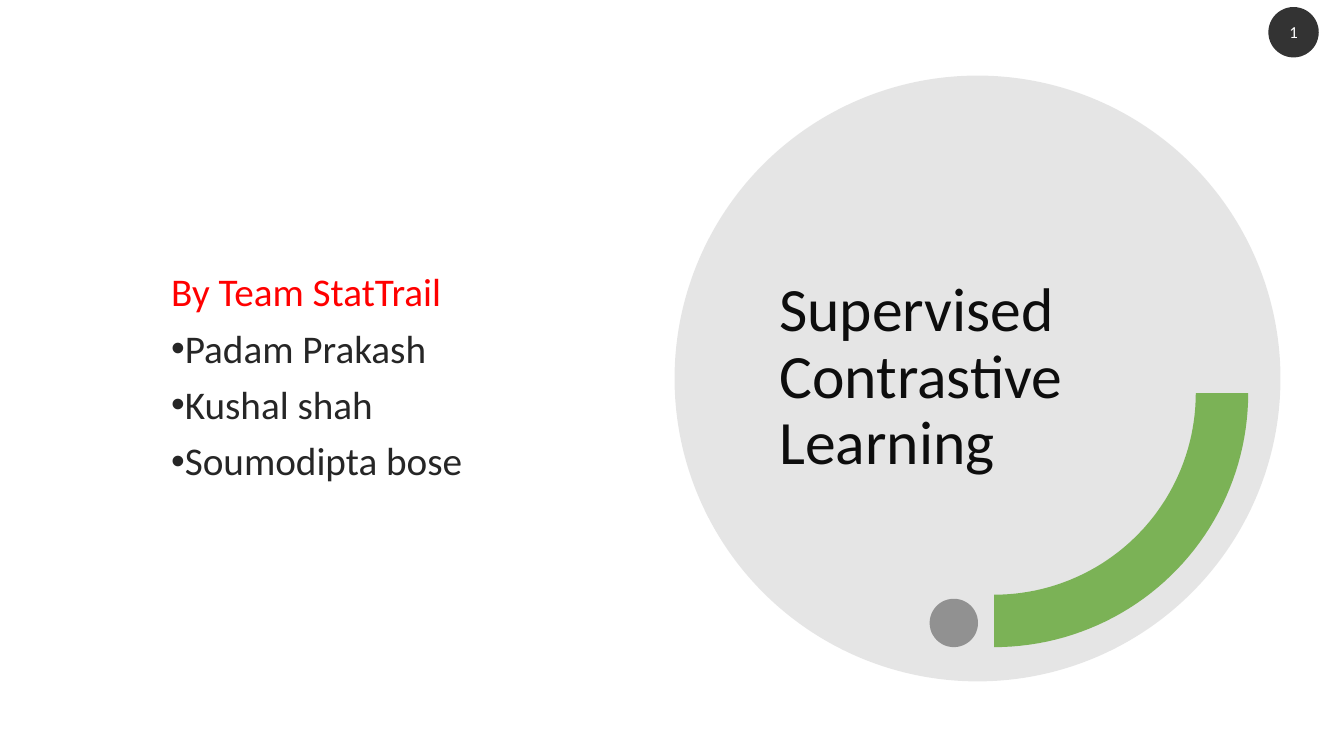
import math
from dataclasses import dataclass

from lxml import etree
from pptx import Presentation
from pptx.dml.color import RGBColor
from pptx.enum.shapes import MSO_SHAPE
from pptx.enum.text import MSO_ANCHOR, MSO_AUTO_SIZE, PP_ALIGN
from pptx.oxml.ns import qn
from pptx.shapes.autoshape import Shape
from pptx.slide import Slide
from pptx.util import Inches, Pt

OVAL = MSO_SHAPE.OVAL
MIDDLE = MSO_ANCHOR.MIDDLE
NO_FIT = MSO_AUTO_SIZE.NONE
LEFT, CENTER = PP_ALIGN.LEFT, PP_ALIGN.CENTER

COLORS = {
    "disc": "808080",
    "dot": "595959",
    "arc": "70AD47",
    "badge": "000000",
    "title": "0D0D0D",
    "team": "FF0000",
    "member": "262626",
    "number": "FFFFFF",
}
FRAME = {"word_wrap": True, "auto_size": NO_FIT, "vertical_anchor": MIDDLE}
NO_INSETS = {f"margin_{side}": 0 for side in ("left", "top", "right", "bottom")}
TITLE_FORMAT = {"alignment": LEFT, "line_spacing": 0.9}
LIST_FORMAT = {"alignment": LEFT, "line_spacing": 0.9, "space_before": Pt(10)}
BADGE_FORMAT = {"alignment": CENTER, "space_after": Pt(6)}


@dataclass
class Circle:
    left: float
    top: float
    size: float
    color: str
    opacity: int


@dataclass
class Line:
    text: str
    color: str
    size: int
    bullet: bool = False


DISC = Circle(6.69, 0.75, 6.01, "disc", 20)
DOT = Circle(9.22, 5.94, 0.48, "dot", 60)
BADGE = Circle(12.58, 0.07, 0.5, "badge", 80)
TITLE = [Line("Supervised Contrastive Learning", "title", 44)]
NUMBER = [Line("1", "number", 12)]
TEAM = [Line("By Team StatTrail", "team", 28)] + [
    Line(name, "member", 28, True)
    for name in ("Padam Prakash", "Kushal shah", "Soumodipta bose")
]


def set_all(target: object, values: dict) -> None:
    for name, value in values.items():
        setattr(target, name, value)


def paint(sp: Shape, color: str, opacity: int) -> None:
    sp.shadow.inherit = False
    sp.line.fill.background()
    sp.fill.solid()
    sp.fill.fore_color.rgb = RGBColor.from_string(COLORS[color])
    clr = sp.fill._xPr.find(qn("a:solidFill"))[0]
    etree.SubElement(clr, qn("a:alpha"), val=str(opacity * 1000))


def add_circle(slide: Slide, c: Circle) -> Shape:
    sp = slide.shapes.add_shape(
        OVAL, Inches(c.left), Inches(c.top), Inches(c.size), Inches(c.size)
    )
    paint(sp, c.color, c.opacity)
    return sp


def add_quarter_ring(slide: Slide, cx: float, cy: float, outer: float, inner: float) -> None:
    angles = [math.radians(a) for a in range(0, 91, 2)]
    points = [
        (Inches(cx + radius * math.cos(a)), Inches(cy + radius * math.sin(a)))
        for radius, sweep in ((outer, angles), (inner, angles[::-1]))
        for a in sweep
    ]
    builder = slide.shapes.build_freeform(*points[0])
    builder.add_line_segments(points[1:], close=True)
    paint(builder.convert_to_shape(), "arc", 90)


def write(sp: Shape, lines: list[Line], paragraph_format: dict) -> None:
    tf = sp.text_frame
    set_all(tf, FRAME)
    for i, line in enumerate(lines):
        p = tf.add_paragraph() if i else tf.paragraphs[0]
        set_all(p, paragraph_format)
        r = p.add_run()
        r.text = line.text
        set_all(r.font, {"name": "Calibri", "size": Pt(line.size)})
        r.font.color.rgb = RGBColor.from_string(COLORS[line.color])
        if line.bullet:
            pPr = p._p.get_or_add_pPr()
            set_bullet = {"marL": "0", "indent": str(Inches(-0.25))}
            for name, value in set_bullet.items():
                pPr.set(name, value)
            etree.SubElement(pPr, qn("a:buFont"), typeface="Arial")
            etree.SubElement(pPr, qn("a:buChar"), char="•")


def main() -> None:
    prs = Presentation()
    set_all(prs, {"slide_width": Inches(13.33), "slide_height": Inches(7.5)})
    slide = prs.slides.add_slide(prs.slide_layouts[5])

    for circle in (DISC, DOT):
        add_circle(slide, circle)
    add_quarter_ring(slide, 9.86, 3.9, 2.52, 2.0)

    title = slide.shapes.title
    box = {"left": 7.63, "top": 1.57, "width": 4.44, "height": 4.37}
    set_all(title, {name: Inches(value) for name, value in box.items()})
    write(title, TITLE, TITLE_FORMAT)
    slide.shapes._spTree.append(title._element)

    badge = add_circle(slide, BADGE)
    set_all(badge.text_frame, NO_INSETS)
    write(badge, NUMBER, BADGE_FORMAT)

    team = slide.shapes.add_textbox(Inches(1.6), Inches(1.57), Inches(4.3), Inches(4.37))
    write(team, TEAM, LIST_FORMAT)

    prs.save("out.pptx")


if __name__ == "__main__":
    main()
